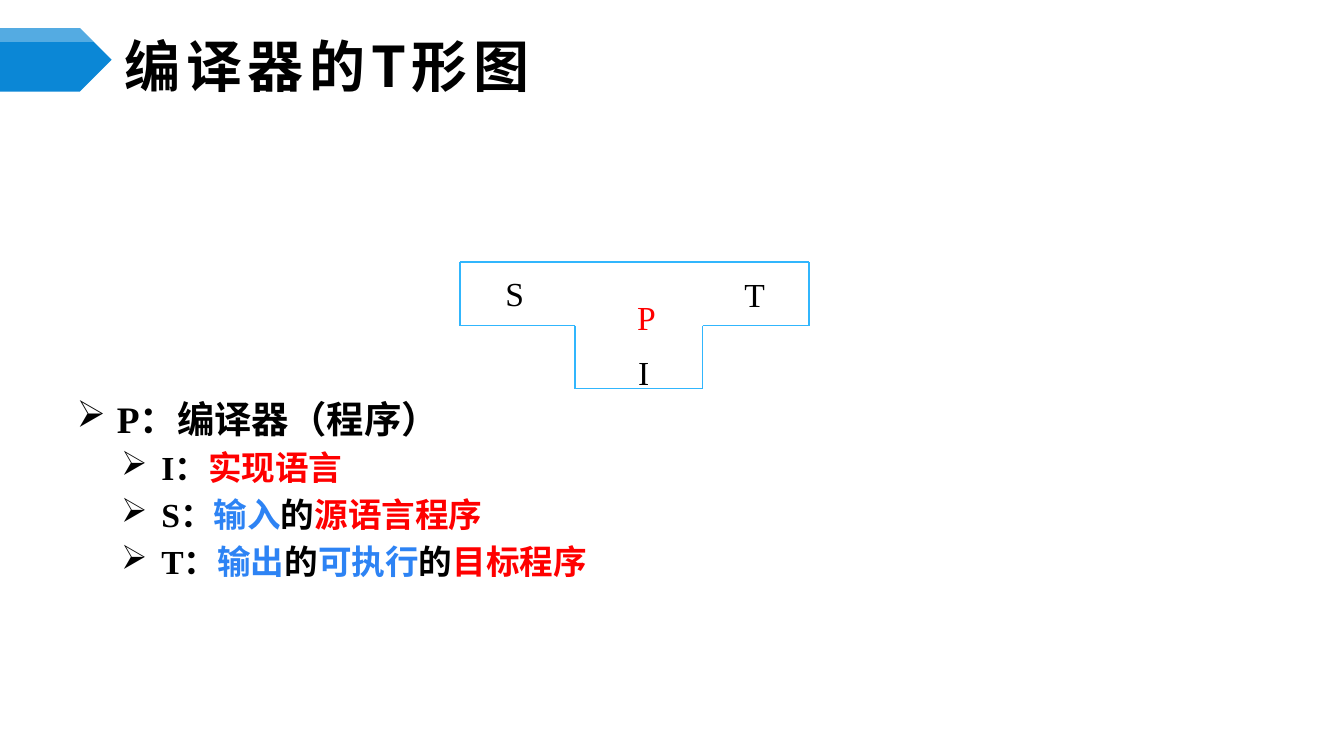
from dataclasses import dataclass
from typing import Any, NamedTuple

from lxml import etree
from pptx import Presentation
from pptx import util as u
from pptx.dml import color as col
from pptx.enum import shapes, text
from pptx.oxml import ns


@dataclass(frozen=True)
class Theme:
    black: str = "000000"
    red: str = "FF0000"
    blue: str = "2D83F4"
    edge: str = "31B6FD"
    tag: str = "0B87D6"
    shine: str = "FFFFFF"
    serif: str = "Times New Roman"
    sans: str = "Noto Sans CJK SC"
    title: float = 30
    head: float = 20
    body: float = 18
    line: float = 0.75


class Box(NamedTuple):
    x: float
    y: float
    w: float
    h: float


class Run(NamedTuple):
    words: str
    color: str


class Item(NamedTuple):
    indent: float
    size: float
    runs: list[Run]


class Label(NamedTuple):
    word: str
    box: Box
    color: str


class Edge(NamedTuple):
    x1: float
    y1: float
    x2: float
    y2: float


T = Theme()
HANG = 0.76

ITEMS = [
    Item(0.76, T.head, [Run("P：编译器（程序）", T.black)]),
    Item(1.6, T.body, [Run("I：", T.black), Run("实现语言", T.red)]),
    Item(1.6, T.body, [Run("S：", T.black), Run("输入", T.blue),
                       Run("的", T.black), Run("源语言程序", T.red)]),
    Item(1.6, T.body, [Run("T：", T.black), Run("输出", T.blue),
                       Run("的", T.black), Run("可执行", T.blue),
                       Run("的", T.black), Run("目标程序", T.red)]),
]

LABELS = [
    Label("P", Box(11.79, 5.49, 0.86, 1.02), T.red),
    Label("S", Box(9.3, 5.03, 0.86, 1.02), T.black),
    Label("T", Box(13.82, 5.05, 0.91, 1.02), T.black),
    Label("I", Box(11.81, 6.53, 0.76, 1.02), T.black),
]

# Columns and rows of the T diagram
A, B, C, D = 8.69, 10.87, 13.28, 15.29
TOP, MID, LOW = 4.95, 6.15, 7.34
EDGES = [
    Edge(A, TOP, D, TOP), Edge(A, MID, B, MID),
    Edge(C, MID, D, MID), Edge(B, LOW, C, LOW),
    Edge(A, TOP, A, MID), Edge(D, TOP, D, MID),
    Edge(B, MID, B, LOW), Edge(C, MID, C, LOW),
]


def assign(obj: Any, vals: dict[str, Any]) -> None:
    for key, val in vals.items():
        setattr(obj, key, val)


def place(box: Box) -> list[u.Length]:
    return [u.Cm(v) for v in box]


def add_run(para: Any, run: Run, size: float, face: str, bold: bool) -> Any:
    """Add a run with its Latin and East Asian fonts; return its properties."""
    part = para.add_run()
    part.text = run.words
    assign(part.font, {"size": u.Pt(size), "name": face, "bold": bold})
    part.font.color.rgb = col.RGBColor.from_string(run.color)
    props = part.font._element
    asian = etree.Element(ns.qn("a:ea"), typeface=T.sans)
    props.find(ns.qn("a:latin")).addnext(asian)
    return props


def add_box(slide: Any, box: Box, vals: dict[str, Any]) -> Any:
    frame = slide.shapes.add_textbox(*place(box)).text_frame
    assign(frame, vals)
    return frame


def add_title(slide: Any) -> None:
    frame = add_box(slide, Box(2.11, 0.74, 22.02, 0.99), {
        "word_wrap": True, "vertical_anchor": text.MSO_ANCHOR.MIDDLE,
        "margin_top": 0, "margin_bottom": 0})
    props = add_run(frame.paragraphs[0], Run("编译器的T形图", T.black),
                    T.title, T.sans, True)
    props.set("spc", "300")


def add_list(slide: Any) -> None:
    frame = add_box(slide, Box(1.45, 7.56, 21, 3.6), {
        "word_wrap": True, "margin_left": 0, "margin_right": 0,
        "margin_top": 0, "margin_bottom": 0})
    for num, item in enumerate(ITEMS):
        para = frame.add_paragraph() if num else frame.paragraphs[0]
        props = para._p.get_or_add_pPr()
        props.set("marL", str(u.Cm(item.indent)))
        props.set("indent", str(-u.Cm(HANG)))
        etree.SubElement(props, ns.qn("a:buChar"), char="➢")
        assign(para, {"alignment": text.PP_ALIGN.JUSTIFY,
                      "line_spacing": u.Pt(21.6),
                      "space_before": u.Pt(3.6 if num else 0)})
        for run in item.runs:
            add_run(para, run, item.size, T.serif, True)


def add_label(slide: Any, label: Label) -> None:
    frame = add_box(slide, label.box, {
        "word_wrap": False, "auto_size": text.MSO_AUTO_SIZE.SHAPE_TO_FIT_TEXT})
    add_run(frame.paragraphs[0], Run(label.word, label.color),
            T.body, T.serif, False)


def add_edge(slide: Any, edge: Edge) -> None:
    line = slide.shapes.add_connector(
        shapes.MSO_CONNECTOR.STRAIGHT, *[u.Cm(v) for v in edge])
    line.line.width = u.Pt(T.line)
    line.line.color.rgb = col.RGBColor.from_string(T.edge)
    etree.SubElement(line._element.spPr, ns.qn("a:effectLst"))


def paint(shape: Any, color: str) -> None:
    shape.shadow.inherit = False
    shape.fill.solid()
    shape.fill.fore_color.rgb = col.RGBColor.from_string(color)
    shape.line.fill.background()


def add_tag(slide: Any) -> None:
    """Draw the title arrow with a pale strip along its top."""
    plate = slide.shapes.add_shape(
        shapes.MSO_SHAPE.PENTAGON, *place(Box(0, 0.53, 2.11, 1.2)))
    paint(plate, T.tag)
    pen = slide.shapes.build_freeform(0, u.Cm(0.53))
    pen.add_line_segments([(u.Cm(x), u.Cm(y)) for x, y in
                           [(1.51, 0.53), (1.77, 0.79), (0, 0.79)]])
    strip = pen.convert_to_shape()
    paint(strip, T.shine)
    tint = strip._element.spPr.find(".//" + ns.qn("a:srgbClr"))
    etree.SubElement(tint, ns.qn("a:alpha"), val="30000")


def main() -> None:
    deck = Presentation()
    assign(deck, {"slide_width": u.Cm(25.4), "slide_height": u.Cm(14.28)})
    slide = deck.slides.add_slide(deck.slide_layouts[6])
    add_list(slide)
    add_title(slide)
    add_tag(slide)
    for edge in EDGES:
        add_edge(slide, edge)
    for label in LABELS:
        add_label(slide, label)
    deck.save("out.pptx")


if __name__ == "__main__":
    main()
